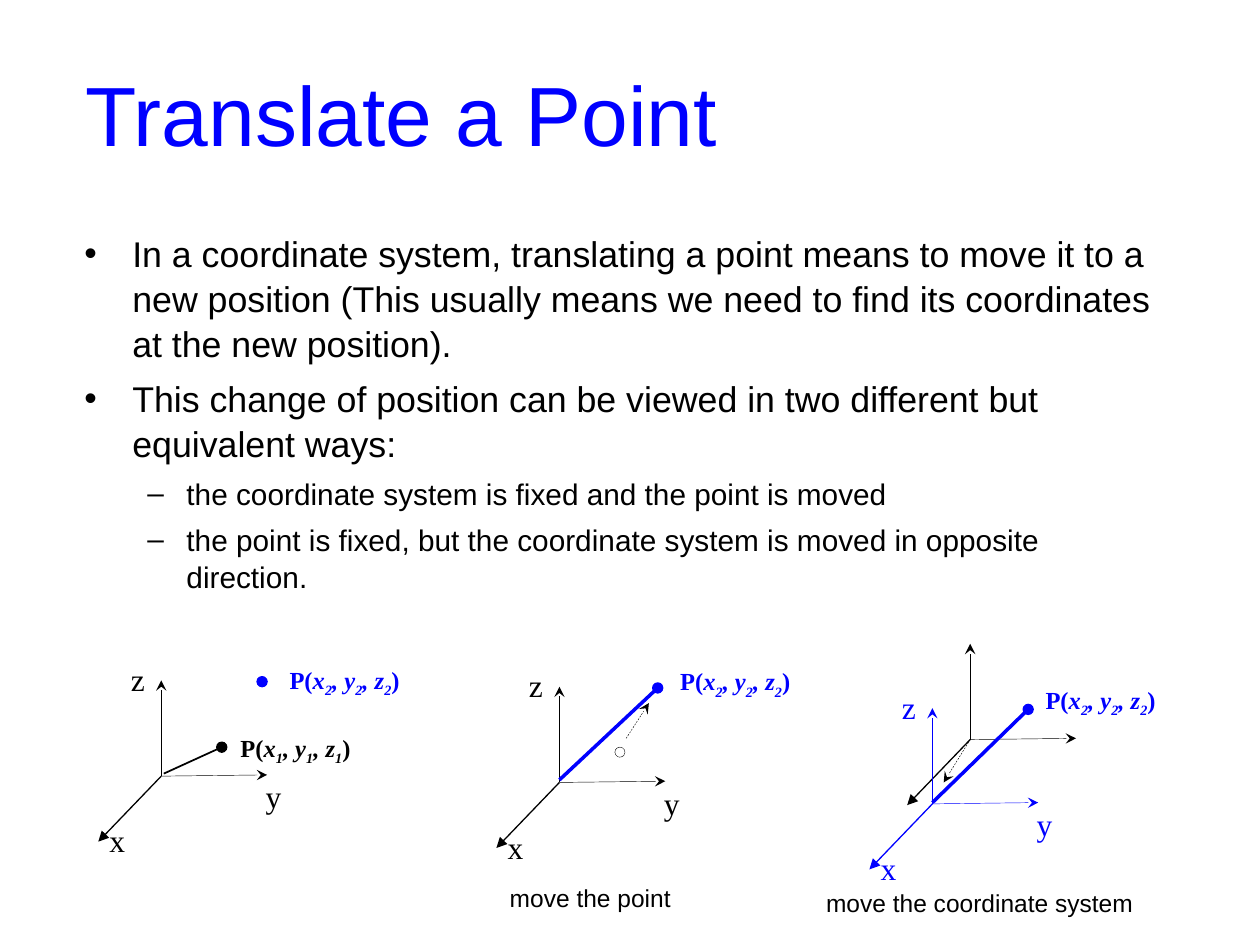
import pptx
import pptx.dml.color
import pptx.enum.dml
import pptx.enum.shapes
import pptx.enum.text
import pptx.oxml.ns
import pptx.util
from lxml import etree

BLACK = "000000"
BLUE = "0000FF"
SANS = "Arial"
SERIF = "Times New Roman"
COLUMNS, ROWS = 10, 7.5
DOT = 0.08

deck = pptx.Presentation()
deck.slide_width = pptx.util.Inches(10)
deck.slide_height = pptx.util.Inches(7.5)
COLUMN = deck.slide_width / COLUMNS
ROW = deck.slide_height / ROWS


def colour(target, value):
    target.rgb = pptx.dml.color.RGBColor.from_string(value)


def place(left, top, width, height):
    return [round(n) for n in (left * COLUMN, top * ROW, width * COLUMN, height * ROW)]


def shift(origin, offset):
    return origin[0] + offset[0], origin[1] + offset[1]


def format_text(paragraph, face, size, value, before=0):
    paragraph.font.name = face
    paragraph.font.size = pptx.util.Pt(size)
    colour(paragraph.font.color, value)
    paragraph.space_before = pptx.util.Pt(before)


def add_text(slide, box, face, size, value, before=0):
    frame = slide.shapes.add_textbox(*place(*box)).text_frame
    frame.word_wrap = True
    paragraph = frame.paragraphs[0]
    format_text(paragraph, face, size, value, before)
    return paragraph


def add_line(slide, start, end, value, width, head=None, dash=None):
    line = slide.shapes.add_connector(
        pptx.enum.shapes.MSO_CONNECTOR.STRAIGHT, *place(*start, *end))
    colour(line.line.color, value)
    line.line.width = pptx.util.Pt(width)
    if dash:
        line.line.dash_style = dash
    properties = line._element.spPr
    if head:
        etree.SubElement(properties.find(pptx.oxml.ns.qn("a:ln")),
                         pptx.oxml.ns.qn("a:tailEnd"), type=head)
    etree.SubElement(properties, pptx.oxml.ns.qn("a:effectLst"))


def add_dot(slide, centre, value, hollow=False):
    corner = shift(centre, (-DOT / 2, -DOT / 2))
    dot = slide.shapes.add_shape(
        pptx.enum.shapes.MSO_SHAPE.OVAL, *place(*corner, DOT, DOT))
    dot.shadow.inherit = False
    colour(dot.line.color, value)
    dot.line.width = pptx.util.Pt(0.25 if hollow else 0.75)
    if hollow:
        dot.fill.background()
        dot.line.dash_style = pptx.enum.dml.MSO_LINE.SQUARE_DOT
    else:
        dot.fill.solid()
        colour(dot.fill.fore_color, value)


def add_point_label(slide, corner, index, value):
    label = add_text(slide, (*corner, 1.33, 0.37), SERIF, 14, value, 8.8)
    label.font.bold = True
    label.add_run().text = "P("
    for name in ("x", ", y", ", z"):
        for text in (name, index):
            run = label.add_run()
            run.text = text
            run.font.italic = True
        run.font._element.set("baseline", "-25000")
    label.add_run().text = ")"


def add_axes(slide, origin, value, named=True):
    add_line(slide, origin, shift(origin, (-0.5, 0.52)), value, 0.75, "triangle")
    add_line(slide, origin, shift(origin, (0.84, -0.01)), value, 0.25, "stealth")
    add_line(slide, origin, shift(origin, (0, -0.76)), value, 0.25, "stealth")
    if named:
        for name, offset in (("x", (-0.51, 0.31)), ("y", (0.73, -0.04)),
                             ("z", (-0.34, -0.97))):
            box = (*shift(origin, offset), 0.33, 0.4)
            add_text(slide, box, SERIF, 18, value, 11.2).text = name


def add_point(slide, centre, index, value, label_offset):
    add_dot(slide, centre, value)
    add_point_label(slide, shift(centre, label_offset), index, value)


def add_motion(slide, start, end):
    add_line(slide, start, end, BLACK, 0.25, "stealth", pptx.enum.dml.MSO_LINE.DASH)


def add_caption(slide, box, text):
    caption = add_text(slide, box, SANS, 14, BLACK)
    caption.text = text
    caption.alignment = pptx.enum.text.PP_ALIGN.CENTER


def start_panel(slide, origin):
    add_axes(slide, origin, BLACK)
    start = shift(origin, (0.48, -0.23))
    add_point(slide, start, "1", BLACK, (0.05, -0.16))
    add_line(slide, start, shift(origin, (0.02, -0.02)), BLACK, 1)
    add_point(slide, shift(origin, (0.8, -0.75)), "2", BLUE, (0.12, -0.18))


def moved_point_panel(slide, origin):
    add_axes(slide, origin, BLACK)
    add_dot(slide, shift(origin, (0.48, -0.24)), BLACK, hollow=True)
    target = shift(origin, (0.78, -0.75))
    add_motion(slide, shift(origin, (0.53, -0.35)), shift(origin, (0.71, -0.63)))
    add_line(slide, target, shift(origin, (0, -0.02)), BLUE, 2)
    add_point(slide, target, "2", BLUE, (0.08, -0.22))
    add_caption(slide, (*shift(origin, (-0.53, 0.75)), 1.55, 0.34), "move the point")


def moved_system_panel(slide, origin):
    fixed = shift(origin, (0.3, -0.51))
    add_axes(slide, fixed, BLACK, named=False)
    add_axes(slide, origin, BLUE)
    add_motion(slide, fixed, shift(origin, (0.09, -0.17)))
    target = shift(origin, (0.76, -0.75))
    add_line(slide, target, shift(origin, (0, -0.01)), BLUE, 2)
    add_point(slide, target, "2", BLUE, (0.04, -0.24))
    add_caption(slide, (*shift(origin, (-1.02, 0.62)), 2.79, 0.34),
                "move the coordinate system")


def move_placeholder(holder, box):
    holder.left, holder.top, holder.width, holder.height = place(*box)
    holder.text_frame.auto_size = pptx.enum.text.MSO_AUTO_SIZE.NONE
    return holder.text_frame


def add_heading(slide, box):
    frame = move_placeholder(slide.shapes.title, box)
    frame.text = "Translate a Point"
    frame.vertical_anchor = pptx.enum.text.MSO_ANCHOR.MIDDLE
    heading = frame.paragraphs[0]
    format_text(heading, SANS, 48, BLUE)
    heading.alignment = pptx.enum.text.PP_ALIGN.LEFT


def add_explanation(slide, box):
    points = (
        (0, "In a coordinate system, translating a point means to move it to a new "
            "position (This usually means we need to find its coordinates at the new "
            "position)."),
        (0, "This change of position can be viewed in two different but equivalent ways:"),
        (1, "the coordinate system is fixed and the point is moved"),
        (1, "the point is fixed, but the coordinate system is moved in opposite direction."),
    )
    styles = ((20.4, 6, 0.38, -0.38), (17, 5, 0.81, -0.31))
    frame = move_placeholder(slide.placeholders[1], box)
    frame.text = "\n".join(text for _, text in points)
    for paragraph, (level, _) in zip(frame.paragraphs, points):
        size, before, margin, indent = styles[level]
        paragraph.level = level
        paragraph.line_spacing = 1.05
        format_text(paragraph, SANS, size, BLACK, before)
        properties = paragraph._p.get_or_add_pPr()
        properties.set("marL", str(pptx.util.Inches(margin)))
        properties.set("indent", str(pptx.util.Inches(indent)))


def main():
    slide = deck.slides.add_slide(deck.slide_layouts[1])
    add_heading(slide, (0.58, 0.27, 8.79, 1.25))
    add_explanation(slide, (0.57, 1.77, 8.79, 3.05))
    start_panel(slide, (1.28, 6.16))
    moved_point_panel(slide, (4.44, 6.21))
    moved_system_panel(slide, (7.4, 6.38))
    deck.save("out.pptx")


if __name__ == "__main__":
    main()
